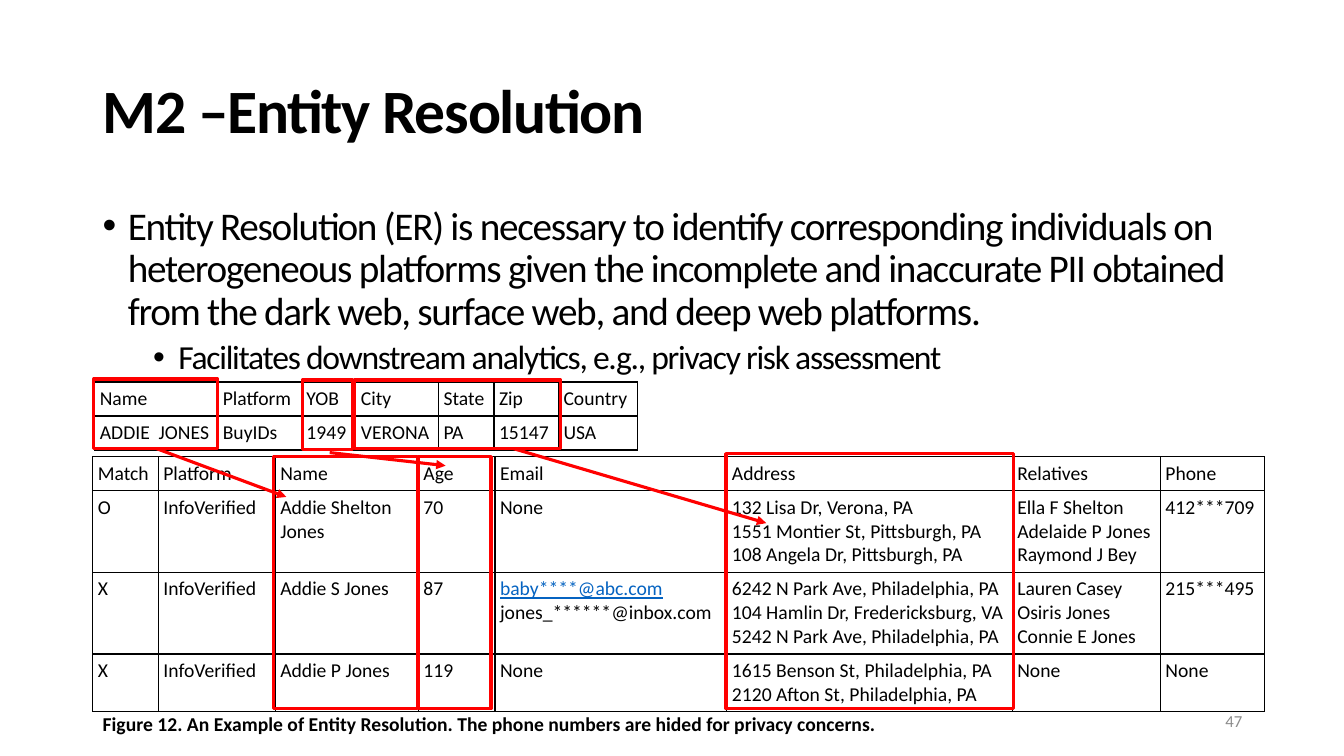
from dataclasses import dataclass
from lxml.etree import SubElement
from pptx import Presentation
from pptx.dml.color import RGBColor
from pptx.enum.shapes import MSO_CONNECTOR, MSO_SHAPE
from pptx.enum.text import MSO_ANCHOR, MSO_AUTO_SIZE, PP_ALIGN
from pptx.oxml.ns import qn
from pptx.util import Inches, Pt


@dataclass(frozen=True)
class Theme:
    face: str = "Calibri"
    ink: str = "000000"
    red: str = "FF0000"
    link: str = "0563C1"
    grey: str = "8C8C8C"
    title: int = 44
    lead: int = 28
    sub: int = 24
    cell: int = 14
    page: int = 12
    mark: float = 2.25
    tight: str = "-90"


theme = Theme()
mail = "baby****@abc.com"

leak = [
    ["Name", "Platform", "YOB", "City", "State", "Zip", "Country"],
    ["ADDIE  JONES", "BuyIDs", "1949", "VERONA", "PA", "15147", "USA"],
]
leak_cols = [1.22, 0.83, 0.54, 0.82, 0.55, 0.64, 0.78]
leak_rows = [0.33, 0.33]

found = [
    ["Match", "Platform", "Name", "Age", "Email", "Address", "Relatives", "Phone"],
    ["O", "InfoVerified", "Addie Shelton Jones", "70", "None",
     "132 Lisa Dr, Verona, PA\n1551 Montier St, Pittsburgh, PA\n108 Angela Dr, Pittsburgh, PA",
     "Ella F Shelton\nAdelaide P Jones\nRaymond J Bey", "412***709"],
    ["X", "InfoVerified", "Addie S Jones", "87", mail + "\njones_******@inbox.com",
     "6242 N Park Ave, Philadelphia, PA\n104 Hamlin Dr, Fredericksburg, VA\n5242 N Park Ave, Philadelphia, PA",
     "Lauren Casey\nOsiris Jones\nConnie E Jones", "215***495"],
    ["X", "InfoVerified", "Addie P Jones", "119", "None",
     "1615 Benson St, Philadelphia, PA\n2120 Afton St, Philadelphia, PA", "None", "None"],
]
found_cols = [0.65, 1.16, 1.42, 0.76, 2.3, 2.83, 1.47, 1.03]
found_rows = [0.33, 0.81, 0.81, 0.57]

frames = [
    (3.23, 0.77, 0.72, 2.5), (6.28, 0.74, 2.85, 2.53), (2.08, 0.01, 0.5, 0.69),
    (2.6, 0.01, 2.04, 0.68), (0.01, 0, 1.23, 0.69), (1.79, 0.77, 1.43, 2.5),
]
arrows = [(0.63, 0.69, 1.92, 1.17), (2.35, 0.73, 3.5, 0.86), (4.17, 0.69, 6.68, 1.43)]


def apply(item, look):
    for key, value in look.items():
        setattr(item, key, value)


def inch(box):
    return [Inches(n) for n in box]


def write(para, text, size, color=theme.ink, tight=False, **look):
    run = para.add_run()
    run.text = text
    apply(run.font, dict(name=theme.face, size=Pt(size), **look))
    run.font.color.rgb = RGBColor.from_string(color)
    if tight:
        run._r.get_or_add_rPr().set("spc", theme.tight)


def frame(shape, anchor=MSO_ANCHOR.TOP):
    text = shape.text_frame
    apply(text, dict(word_wrap=True, auto_size=MSO_AUTO_SIZE.NONE,
                     vertical_anchor=anchor))
    return text


def head(slide, box, text):
    shape = slide.shapes.title
    apply(shape, dict(zip(("left", "top", "width", "height"), inch(box))))
    para = frame(shape, MSO_ANCHOR.MIDDLE).paragraphs[0]
    apply(para, dict(alignment=PP_ALIGN.LEFT, line_spacing=0.9))
    write(para, text, theme.title, tight=True, bold=True)


def bullets(slide, box, items):
    text = frame(slide.shapes.add_textbox(*inch(box)))
    for level, line in enumerate(items):
        para = text.add_paragraph() if level else text.paragraphs[0]
        apply(para, dict(level=level, line_spacing=0.9,
                         space_before=Pt(5 if level else 0)))
        props = para._p.get_or_add_pPr()
        props.set("marL", str(Inches(0.25 + 0.5 * level)))
        props.set("indent", str(Inches(-0.25)))
        SubElement(props, qn("a:buFont"), typeface="Arial")
        SubElement(props, qn("a:buChar"), char="•")
        write(para, line, theme.sub if level else theme.lead, tight=True)


def label(slide, box, text, size, side=PP_ALIGN.LEFT,
          anchor=MSO_ANCHOR.TOP, **look):
    para = frame(slide.shapes.add_textbox(*inch(box)), anchor).paragraphs[0]
    para.alignment = side
    write(para, text, size, **look)


def edge(cell):
    props = cell._tc.get_or_add_tcPr()
    for side in ("lnL", "lnR", "lnT", "lnB"):
        line = SubElement(props, qn("a:" + side), w=str(Pt(1)))
        fill = SubElement(line, qn("a:solidFill"))
        SubElement(fill, qn("a:srgbClr"), val=theme.ink)
    cell.fill.background()


def grid(slide, spot, data, cols, rows, anchor):
    box = (*spot, sum(cols), sum(rows))
    table = slide.shapes.add_table(len(rows), len(cols), *inch(box)).table
    apply(table, dict(first_row=False, horz_banding=False))
    for col, width in zip(table.columns, cols):
        col.width = Inches(width)
    for row, height, texts in zip(table.rows, rows, data):
        row.height = Inches(height)
        for cell, text in zip(row.cells, texts):
            sides = ("left", "right", "top", "bottom")
            apply(cell, {"margin_" + side: Inches(0.05) for side in sides})
            cell.vertical_anchor = anchor
            edge(cell)
            for at, line in enumerate(text.split("\n")):
                body = cell.text_frame
                para = body.add_paragraph() if at else body.paragraphs[0]
                linked = line == mail
                write(para, line, theme.cell,
                      theme.link if linked else theme.ink, underline=linked)


def stroke(shape):
    shape.line.color.rgb = RGBColor.from_string(theme.red)
    shape.line.width = Pt(theme.mark)


def marks(slide, x, y):
    for left, top, width, height in frames:
        shape = slide.shapes.add_shape(
            MSO_SHAPE.RECTANGLE, *inch((x + left, y + top, width, height)))
        shape.shadow.inherit = False
        shape.fill.background()
        stroke(shape)
    for x1, y1, x2, y2 in arrows:
        line = slide.shapes.add_connector(
            MSO_CONNECTOR.STRAIGHT, *inch((x + x1, y + y1, x + x2, y + y2)))
        stroke(line)
        SubElement(line.line._get_or_add_ln(), qn("a:tailEnd"), type="triangle")
        SubElement(line._element.spPr, qn("a:effectLst"))


def figure(slide, x, y):
    grid(slide, (x + 0.02, y + 0.03), leak, leak_cols, leak_rows, MSO_ANCHOR.MIDDLE)
    grid(slide, (x, y + 0.77), found, found_cols, found_rows, MSO_ANCHOR.TOP)
    marks(slide, x, y)
    label(slide, (x, y + 3.25, 9.27, 0.34),
          "Figure 12. An Example of Entity Resolution. "
          "The phone numbers are hided for privacy concerns.",
          theme.cell, bold=True)


def main():
    deck = Presentation()
    apply(deck, dict(slide_width=Inches(13.33), slide_height=Inches(7.5)))
    slide = deck.slides.add_slide(deck.slide_layouts[5])
    head(slide, (0.92, 0.4, 11.5, 1.45), "M2 –Entity Resolution")
    bullets(slide, (0.92, 2, 11.5, 1.76), [
        "Entity Resolution (ER) is necessary to identify corresponding individuals on "
        "heterogeneous platforms given the incomplete and inaccurate PII obtained "
        "from the dark web, surface web, and deep web platforms.",
        "Facilitates downstream analytics, e.g., privacy risk assessment",
    ])
    label(slide, (9.42, 6.95, 3, 0.4), "47", theme.page, PP_ALIGN.RIGHT,
          MSO_ANCHOR.MIDDLE, color=theme.grey)
    figure(slide, 0.92, 3.76)
    deck.save("out.pptx")


if __name__ == "__main__":
    main()
